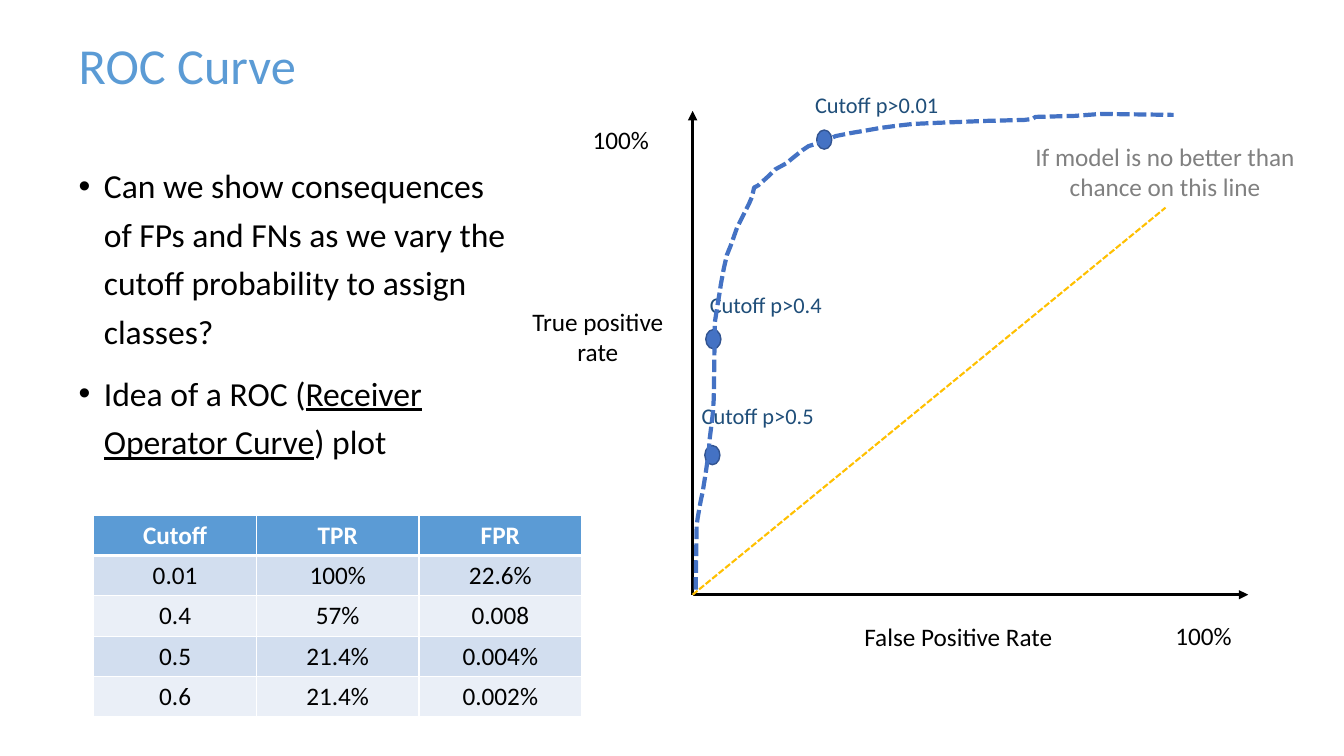
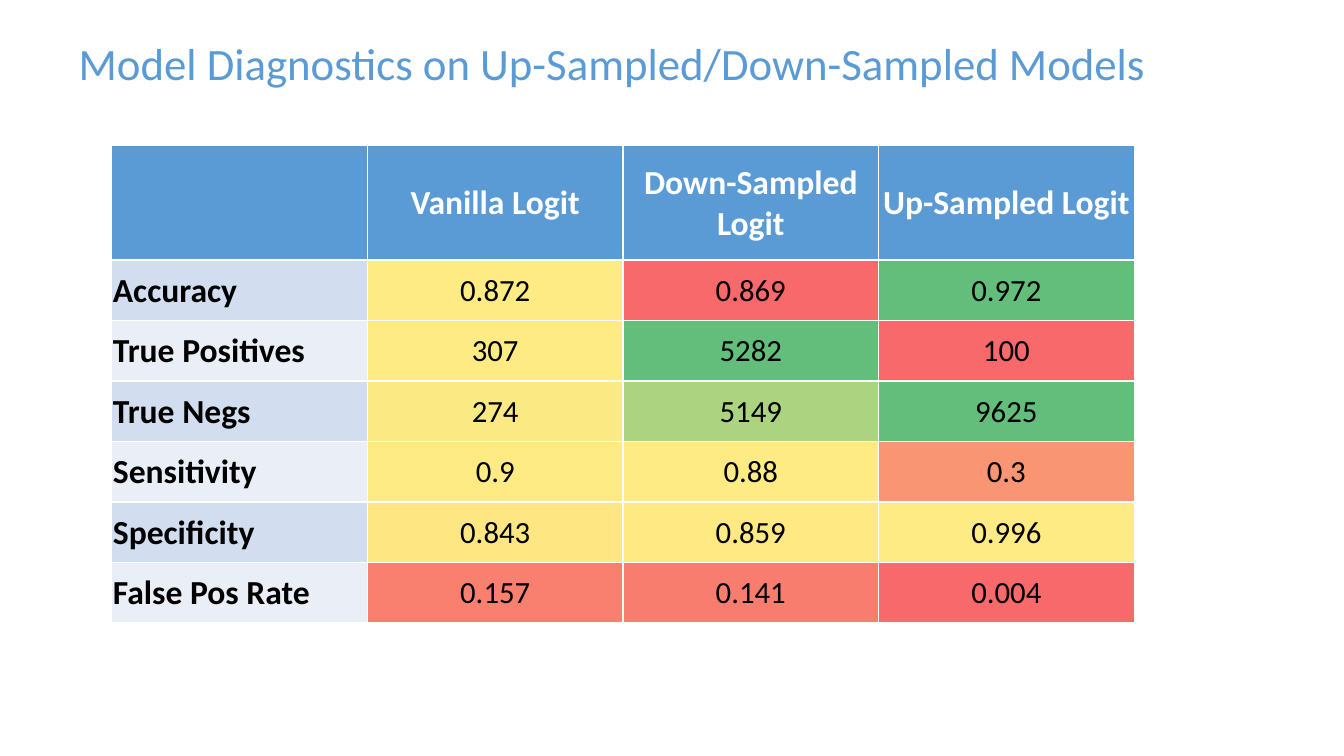
from pptx import Presentation
from pptx.dml.color import RGBColor
from pptx.enum.dml import MSO_LINE
from pptx.enum.shapes import MSO_CONNECTOR, MSO_SHAPE
from pptx.enum.text import MSO_ANCHOR, MSO_AUTO_SIZE, PP_ALIGN
from pptx.oxml.ns import qn
from pptx.util import Inches, Pt
from lxml.etree import SubElement

# Shared look
FONT = "Calibri"
BLUE, NAVY, CURVE, EDGE = "5B9BD5", "1F4E79", "4472C4", "325491"
BLACK, WHITE, GRAY, GOLD = "000000", "FFFFFF", "808080", "FFC000"
BANDS = ("D2DEEF", "EAEFF7")
LEFT, MID = PP_ALIGN.LEFT, PP_ALIGN.CENTER

# Slide 1 content
POINTS = [
    [("Can we show consequences of FPs and FNs as we vary the cutoff "
      "probability to assign classes?", False)],
    [("Idea of a ROC (", False), ("Receiver Operator Curve", True),
     (") plot", False)],
]
RATES = [
    ("Cutoff", "TPR", "FPR"),
    ("0.01", "100%", "22.6%"),
    ("0.4", "57%", "0.008"),
    ("0.5", "21.4%", "0.004%"),
    ("0.6", "21.4%", "0.002%"),
]
ORIGIN, TOP, RIGHT, CHANCE = (6.87, 5.9), (6.87, 1.1), (12.38, 5.9), (11.56, 2.06)
LABELS = [  # lines, box, size, colour, alignment
    (["True positive", "rate"], (4.98, 2.99, 1.9, 0.87), 18, BLACK, MID),
    (["False Positive Rate"], (8.25, 6.11, 2.51, 0.49), 18, BLACK, MID),
    (["100%"], (5.78, 1.18, 0.92, 0.49), 18, BLACK, LEFT),
    (["100%"], (11.56, 6.1, 0.92, 0.49), 18, BLACK, LEFT),
    (["If model is no better than chance on this line"],
     (10, 1.35, 3.11, 0.71), 18, GRAY, MID),
]
CUTOFFS = [  # label, its corner, corner of its dot
    ("Cutoff p>0.5", (6.79, 3.94), (6.99, 4.42)),
    ("Cutoff p>0.4", (6.87, 2.84), (7, 3.27)),
    ("Cutoff p>0.01", (7.97, 0.86), (8.1, 1.29)),
]
ROC = [
    (6.9, 5.85), (6.91, 5.22), (6.92, 5.14), (6.95, 4.97), (6.97, 4.88),
    (7, 4.69), (7.03, 4.48), (7.04, 4.35), (7.07, 4.11), (7.08, 3.95),
    (7.09, 3.2), (7.12, 3.01), (7.14, 2.89), (7.15, 2.82), (7.18, 2.66),
    (7.21, 2.53), (7.25, 2.43), (7.31, 2.26), (7.38, 2.12), (7.43, 2.02),
    (7.46, 1.95), (7.48, 1.86), (7.52, 1.84), (7.62, 1.75), (7.69, 1.68),
    (7.8, 1.62), (7.86, 1.57), (7.96, 1.49), (8.02, 1.45), (8.18, 1.4),
    (8.29, 1.35), (8.44, 1.32), (8.56, 1.3), (8.73, 1.27), (8.88, 1.25),
    (9.05, 1.23), (9.27, 1.22), (9.77, 1.2), (10.16, 1.19), (10.24, 1.18),
    (10.27, 1.16), (10.66, 1.15), (10.92, 1.13), (11.64, 1.14),
]

# Slide 2 content
MODELS = ["", "Vanilla Logit", "Down-Sampled Logit", "Up-Sampled Logit"]
SCORES = [  # measure, then value and heat colour for each model
    ("Accuracy", ("0.872", "FFEB84"), ("0.869", "F8696B"), ("0.972", "63BE7B")),
    ("True Positives", ("307", "FFEB84"), ("5282", "63BE7B"), ("100", "F8696B")),
    ("True Negs", ("274", "FBEA84"), ("5149", "ACD380"), ("9625", "63BE7B")),
    ("Sensitivity", ("0.9", "FFEB84"), ("0.88", "FFEB84"), ("0.3", "FA9573")),
    ("Specificity", ("0.843", "FEE783"), ("0.859", "FEE983"), ("0.996", "FFEB84")),
    ("False Pos Rate", ("0.157", "F97F6F"), ("0.141", "F97D6E"), ("0.004", "F8696B")),
]


def rgb(code):
    return RGBColor.from_string(code)


def inch(vals):
    return [Inches(v) for v in vals]


def put(obj, **vals):
    for name, val in vals.items():
        setattr(obj, name, val)


def place(shape, box):
    put(shape, **dict(zip(("left", "top", "width", "height"), inch(box))))


def write(para, text, size, color, **more):
    run = para.add_run()
    run.text = text
    put(run.font, name=FONT, size=Pt(size), **more)
    run.font.color.rgb = rgb(color)


def stroke(line, color, width, dash=None):
    put(line, width=Pt(width), dash_style=dash)
    line.color.rgb = rgb(color)


def head(slide, text, size, high):
    title = slide.shapes.title
    place(title, (0.68, 0.09, 11.9, high))
    put(title.text_frame, vertical_anchor=MSO_ANCHOR.MIDDLE, word_wrap=True,
        auto_size=MSO_AUTO_SIZE.NONE)
    para = title.text_frame.paragraphs[0]
    put(para, alignment=LEFT, line_spacing=0.9)
    write(para, text, size, BLUE)


def label(slide, lines, box, size, color, align):
    frame = slide.shapes.add_textbox(*inch(box)).text_frame
    frame.word_wrap = True
    for i, text in enumerate(lines):
        para = frame.add_paragraph() if i else frame.paragraphs[0]
        para.alignment = align
        write(para, text, size, color)


def join(slide, start, end, color, width, dash=None, arrow=False):
    con = slide.shapes.add_connector(MSO_CONNECTOR.STRAIGHT, *inch(start + end))
    stroke(con.line, color, width, dash)
    props = con.element.spPr
    if arrow:
        SubElement(props.find(qn("a:ln")), qn("a:tailEnd"), type="triangle")
    SubElement(props, qn("a:effectLst"))


def edge(cell, **sides):
    props = cell._tc.get_or_add_tcPr()
    for side in "LRTB":
        line = SubElement(props, qn("a:ln" + side), w=str(Pt(sides[side])))
        fill = SubElement(line, qn("a:solidFill"))
        SubElement(fill, qn("a:srgbClr"), val=WHITE)


def grid(slide, box, rows, tall, short, rule, base, pad=None):
    """Rows hold (text, fill, size, colour, bold, alignment) cells."""
    table = slide.shapes.add_table(len(rows), len(rows[0]), *inch(box)).table
    for col in table.columns:
        col.width = Inches(box[2] / len(rows[0]))
    for r, row in enumerate(rows):
        table.rows[r].height = Inches(short if r else tall)
        for c, (text, fill, size, color, bold, align) in enumerate(row):
            cell = table.cell(r, c)
            if pad is not None:
                put(cell, margin_left=pad, margin_right=pad, margin_top=pad,
                    margin_bottom=0, vertical_anchor=MSO_ANCHOR.MIDDLE)
            edge(cell, L=1, R=1, T=rule if r == 1 else base,
                 B=base if r else rule)
            cell.fill.solid()
            cell.fill.fore_color.rgb = rgb(fill)
            para = cell.text_frame.paragraphs[0]
            para.alignment = align
            if text:
                write(para, text, size, color, bold=bold)


def curve(slide):
    # ROC slide: bullets
    head(slide, "ROC Curve", 36, 1.18)
    body = slide.placeholders[1]
    place(body, (0.68, 1.51, 4.57, 5.21))
    frame = body.text_frame
    put(frame, auto_size=MSO_AUTO_SIZE.NONE, word_wrap=True)
    for i, parts in enumerate(POINTS):
        para = frame.add_paragraph() if i else frame.paragraphs[0]
        put(para, line_spacing=1.2, space_before=Pt(10))
        props = para._p.get_or_add_pPr()
        props.set("marL", str(Inches(0.25)))
        props.set("indent", str(Inches(-0.25)))
        for text, under in parts:
            write(para, text, 24, BLACK, underline=under)

    # Axes and chance line
    for end in (TOP, RIGHT):
        join(slide, ORIGIN, end, BLACK, 2.25, arrow=True)
    join(slide, ORIGIN, CHANCE, GOLD, 1.5, MSO_LINE.SQUARE_DOT)

    # Labels and cutoff dots
    for item in LABELS:
        label(slide, *item)
    for text, spot, dot in CUTOFFS:
        label(slide, [text], spot + (1.45, 0.37), 16, NAVY, MID)
        oval = slide.shapes.add_shape(MSO_SHAPE.OVAL, *inch(dot + (0.15, 0.19)))
        oval.shadow.inherit = False
        oval.fill.solid()
        oval.fill.fore_color.rgb = rgb(CURVE)
        stroke(oval.line, EDGE, 1)

    # Rate table
    rows = [[(t, BANDS[(r - 1) % 2] if r else BLUE, 18,
              BLACK if r else WHITE, not r, MID) for t in row]
            for r, row in enumerate(RATES)]
    grid(slide, (0.93, 5.11, 4.84, 2), rows, 0.4, 0.4, 3, 1)

    # Dashed curve
    pts = [inch(p) for p in ROC]
    pen = slide.shapes.build_freeform(*pts[0])
    pen.add_line_segments(pts[1:], close=False)
    trace = pen.convert_to_shape()
    trace.shadow.inherit = False
    trace.fill.background()
    stroke(trace.line, CURVE, 3, MSO_LINE.SQUARE_DOT)


def scores(slide):
    # Heat table of model scores
    head(slide, "Model Diagnostics on Up-Sampled/Down-Sampled Models", 32, 1.12)
    rows = [[(m, BLUE, 24, WHITE, True, MID) for m in MODELS]]
    for i, (name, *vals) in enumerate(SCORES):
        rows.append([(name, BANDS[i % 2], 24, BLACK, True, LEFT)]
                    + [(v, heat, 22, BLACK, False, MID) for v, heat in vals])
    grid(slide, (1.11, 1.44, 10.14, 4.72), rows, 1.14, 0.6, 1.5, 1, Inches(0.01))


def main():
    deck = Presentation()
    put(deck, slide_width=Inches(13.33), slide_height=Inches(7.5))
    for layout, draw in ((1, curve), (5, scores)):
        draw(deck.slides.add_slide(deck.slide_layouts[layout]))
    deck.save("out.pptx")


if __name__ == "__main__":
    main()
